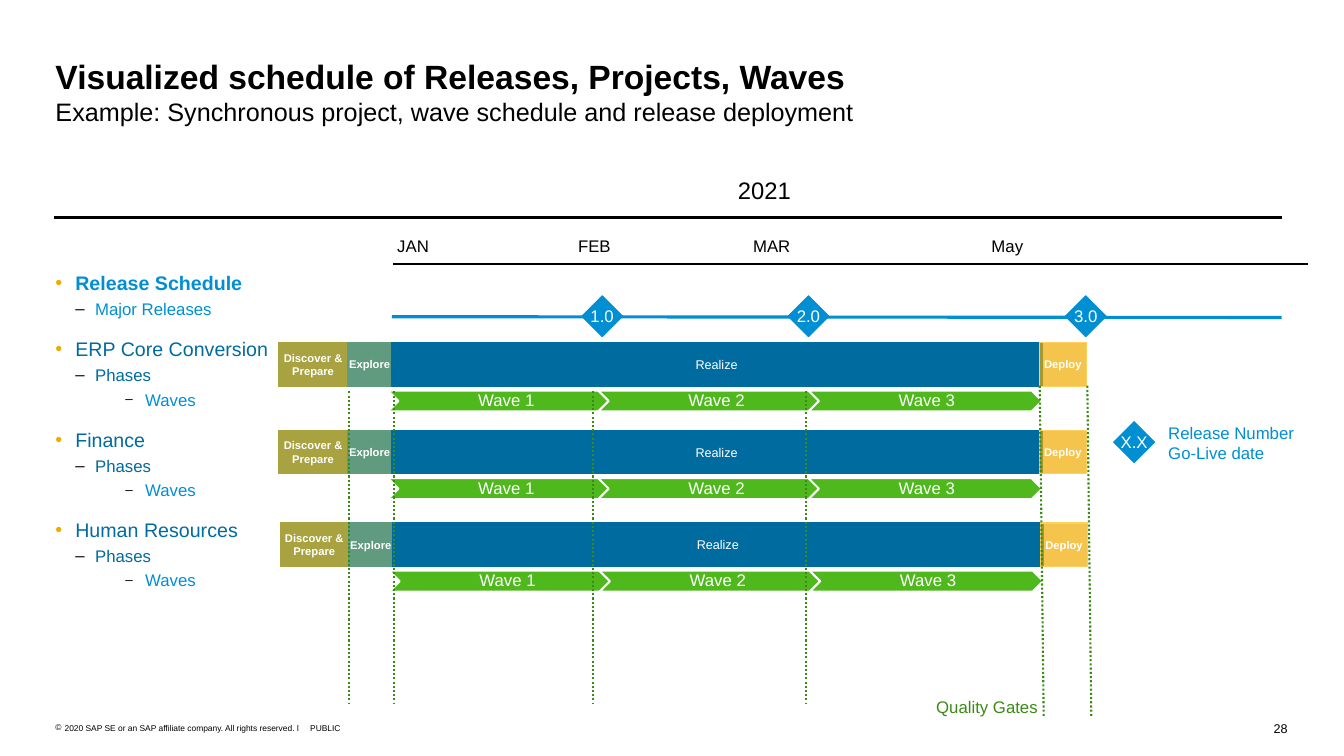
import copy
from dataclasses import dataclass

from lxml import etree
from pptx import Presentation
from pptx import util as u
from pptx.dml.color import RGBColor
from pptx.enum import dml, shapes, text
from pptx.oxml import ns


@dataclass(frozen=True)
class Theme:
    font: str = "Arial"
    black: str = "000000"
    white: str = "FFFFFF"
    sky: str = "008FD3"
    blue: str = "006B9E"
    gold: str = "F0AB00"
    pale_gold: str = "FFD05D"
    olive: str = "A8A340"
    teal: str = "609A7F"
    wave: str = "4FB81C"
    gate: str = "3B8A15"
    title: int = 24
    subtitle: int = 18
    year: int = 17
    heading: int = 14
    body: int = 12
    small: int = 9
    phase: int = 8
    footer: int = 6


T = Theme()
LEFT, CENTER, RIGHT = text.PP_ALIGN.LEFT, text.PP_ALIGN.CENTER, text.PP_ALIGN.RIGHT
TOP, MIDDLE = text.MSO_ANCHOR.TOP, text.MSO_ANCHOR.MIDDLE
SHAPE = shapes.MSO_SHAPE


def set_attrs(obj, values):
    for name, value in values.items():
        setattr(obj, name, value)


def cm(*values):
    return [u.Cm(round(v, 2)) for v in values]


def style(p, size, color, bold=False):
    """Format every run, and give line breaks the format of the first run."""
    for r in p.runs:
        set_attrs(r.font, {"name": T.font, "size": u.Pt(size), "bold": bold})
        r.font.color.rgb = RGBColor.from_string(color)
    for br in p._p.findall(ns.qn("a:br")):
        br.insert(0, copy.deepcopy(p.runs[0]._r.rPr))


def set_frame(sp, anchor=MIDDLE, insets=(0, 0, 0, 0), wrap=True):
    sides = ("margin_left", "margin_top", "margin_right", "margin_bottom")
    set_attrs(sp.text_frame, {"vertical_anchor": anchor, "word_wrap": wrap,
                              **dict(zip(sides, cm(*insets)))})


def write(sp, words, size, color=T.black, bold=False, align=LEFT, **frame):
    set_frame(sp, **frame)
    p = sp.text_frame.paragraphs[0]
    p.text = words
    p.alignment = align
    style(p, size, color, bold)
    return p


def add_label(parent, box, words, size, color=T.black, **options):
    return write(parent.add_textbox(*cm(*box)), words, size, color, **options)


def add_block(parent, kind, box, fill, line=None, width=0.75, alpha=None):
    sp = parent.add_shape(kind, *cm(*box))
    sp.shadow.inherit = False
    sp.fill.solid()
    sp.fill.fore_color.rgb = RGBColor.from_string(fill)
    if alpha:
        color = sp.fill._xPr.find(".//" + ns.qn("a:srgbClr"))
        etree.SubElement(color, ns.qn("a:alpha"), val=str(alpha * 1000))
    if line:
        sp.line.color.rgb = RGBColor.from_string(line)
        sp.line.width = u.Pt(width)
    else:
        sp.line.fill.background()
    return sp


def add_line(parent, start, end, color, width, dash=None):
    c = parent.add_connector(shapes.MSO_CONNECTOR.STRAIGHT, *cm(*start, *end))
    c.line.color.rgb = RGBColor.from_string(color)
    c.line.width = u.Pt(width)
    if dash:
        c.line.dash_style = dash
    etree.SubElement(c._element.spPr, ns.qn("a:effectLst"))


def add_bullet(p, char, color, indent, hang, percent=100):
    pPr = p._p.get_or_add_pPr()
    pPr.set("marL", str(u.Cm(indent)))
    pPr.set("indent", str(-u.Cm(hang)))
    clr = etree.SubElement(pPr, ns.qn("a:buClr"))
    etree.SubElement(clr, ns.qn("a:srgbClr"), val=color)
    etree.SubElement(pPr, ns.qn("a:buSzPct"), val=str(percent * 1000))
    etree.SubElement(pPr, ns.qn("a:buFont"), typeface=T.font)
    etree.SubElement(pPr, ns.qn("a:buChar"), char=char)


def add_title(parent, box):
    p = add_label(parent, box, "Visualized schedule of Releases, Projects, Waves\n"
                  "Example: Synchronous project, wave schedule and release deployment",
                  T.title, bold=True, anchor=TOP)
    set_attrs(p.runs[1].font, {"size": u.Pt(T.subtitle), "bold": False})


def add_footer(parent, left, top):
    p = add_label(parent, (left, top, 6.3, 0.25),
                  "2020 SAP SE or an SAP affiliate company. All rights reserved. ǀ",
                  T.footer, anchor=TOP)
    add_bullet(p, "©", T.black, 0.23, 0.23)
    add_label(parent, (left + 6.42, top, 0.79, 0.25), "PUBLIC", T.footer,
              anchor=TOP, wrap=False)
    add_label(parent, (left + 30.68, top - 0.05, 0.38, 0.38), "28", T.small,
              align=RIGHT, anchor=TOP, wrap=False)


def add_outline(parent, box):
    levels = [  # bullet, bullet colour, indent, bullet percent, size, space before
        ("•", T.gold, 0.5, 100, T.heading, 13),
        ("–", T.black, 1, 100, T.body, 3),
        ("–", T.black, 2.26, 80, T.body, 3)]
    items = [(0, "Release Schedule", T.sky, True), (1, "Major Releases", T.sky, False)]
    for project in ("ERP Core Conversion", "Finance", "Human Resources"):
        items += [(0, project, T.blue, False), (1, "Phases", T.blue, False),
                  (2, "Waves", T.sky, False)]
    s = parent.add_textbox(*cm(*box))
    set_frame(s, TOP, (0, 0.71, 0.15, 0.46))
    tf = s.text_frame
    for i, (level, words, color, bold) in enumerate(items):
        char, char_color, indent, percent, size, before = levels[level]
        p = tf.add_paragraph() if i else tf.paragraphs[0]
        p.text = words
        p.level = level
        add_bullet(p, char, char_color, indent, 0.5, percent)
        p.space_before = u.Pt(before if i else 0)
        style(p, size, color, bold)


def add_calendar(parent, left, top, width):
    add_line(parent, (left, top + 1.12), (left + width, top + 1.12), T.black, 2.25)
    add_line(parent, (left + 8.56, top + 2.28), (left + 31.62, top + 2.28), T.black, 1.5)
    year = add_block(parent, SHAPE.RECTANGLE, (left + 16.74, top, 2.36, 0.84), T.white)
    write(year, "2021", T.year, align=CENTER, wrap=False)
    for month, x in (("JAN", 8.28), ("FEB", 12.85), ("MAR", 17.32), ("May", 23.26)):
        add_label(parent, (left + x, top + 1.4, 1.57, 0.84), month, T.body,
                  align=CENTER, wrap=False)


def add_release(parent, left, top, number):
    sp = add_block(parent, SHAPE.DIAMOND, (left, top, 1.04, 1.04), T.sky, T.sky, 0.5)
    write(sp, number, T.body, T.white, align=CENTER, wrap=False,
          insets=(0.25, 0.2, 0.25, 0.2))


def add_releases(parent, left, top, width):
    add_line(parent, (left, top + 0.53), (left + width, top + 0.55), T.sky, 2.25)
    for number, x in (("1.0", 4.78), ("2.0", 9.98), ("3.0", 16.97)):
        add_release(parent, left + x, top, number)


def add_waves(parent, left, top):
    group = parent.add_group_shape().shapes
    for i in range(3):
        x = left + i * 5.3
        add_block(group, SHAPE.CHEVRON, (x, top, 5.89, 0.53), T.wave, T.white, 1.5)
        p = add_label(group, (x + 0.28, top, 5.33, 0.53), f"Wave {i + 1}", T.body,
                      T.white, align=CENTER, insets=(0.13, 0.05, 0.05, 0.05))
        p.line_spacing = 0.9


def add_project(parent, left, top):
    phases = [  # name, offset, width, fill, line, opacity, size, bold
        ("Discover &\nPrepare", 0, 1.73, T.olive, T.olive, None, T.phase, True),
        ("Explore", 1.73, 1.12, T.teal, T.teal, None, T.phase, True),
        ("Realize", 2.83, 16.41, T.blue, T.blue, None, T.small, False),
        ("Deploy", 19.18, 1.17, T.gold, T.pale_gold, 70, T.phase, True)]
    for name, x, width, fill, line, alpha, size, bold in phases:
        sp = add_block(parent, SHAPE.RECTANGLE, (left + x, top, width, 1.09), fill,
                       line, alpha=alpha)
        write(sp, name, size, T.white, bold, CENTER)
    add_waves(parent, left + 2.75, top + 1.2)


def add_gates(parent, left, top):
    straight = [(x, x, 0.14, 8) for x in (0, 1.14, 6.15, 11.53)]
    slanted = [(x, x + 0.1, 0, 8.32) for x in (17.42, 18.62)]
    for x1, x2, y1, y2 in straight + slanted:
        add_line(parent, (left + x1, top + y1), (left + x2, top + y2), T.gate, 1.5,
                 dml.MSO_LINE.ROUND_DOT)
    add_label(parent, (left + 14.4, top + 7.83, 3.18, 0.51), "Quality Gates", T.body,
              T.gate, insets=(0.41, 0, 0.18, 0), wrap=False)


def add_legend(parent, left, top):
    add_release(parent, left, top, "X.X")
    add_label(parent, (left + 0.97, top + 0.02, 3.78, 1.02),
              "Release Number\nGo-Live date", T.body, T.sky,
              insets=(0.41, 0, 0.18, 0), wrap=False)


def main():
    prs = Presentation()
    prs.slide_width, prs.slide_height = cm(33.88, 19.05)
    s = prs.slides.add_slide(prs.slide_layouts[6]).shapes
    add_footer(s, 1.4, 18.21)
    add_title(s, (1.4, 1.4, 31.06, 1.8))
    add_outline(s, (1.4, 6.12, 8.51, 11.35))
    add_calendar(s, 1.35, 4.37, 30.96)
    add_releases(s, 9.88, 7.45, 22.43)
    for left, top in ((7.03, 8.64), (7.03, 10.85), (7.06, 13.18)):
        add_project(s, left, top)
    add_gates(s, 8.79, 9.72)
    add_legend(s, 28.07, 10.62)
    prs.save("out.pptx")


if __name__ == "__main__":
    main()
